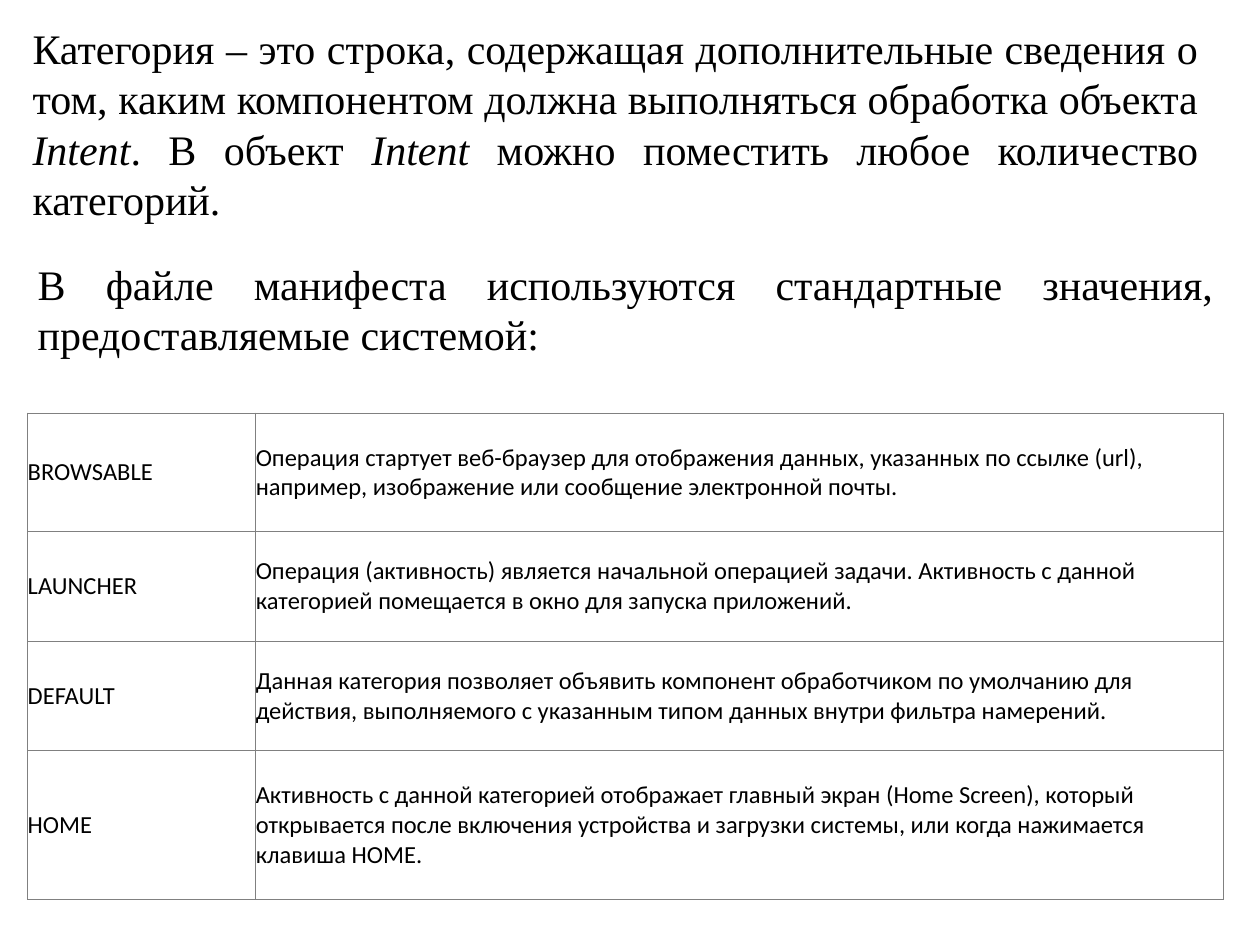
from pptx import Presentation
from pptx import util as u
from pptx.dml import color
from pptx.enum import text
from pptx.oxml import ns, parse_xml

BLACK, GREY = "000000", "808080"


def add_text(para, content, size=24, font="Times New Roman", italic=False, hue=BLACK):
    span = para.add_run()
    span.text = content
    span.font.size = u.Pt(size)
    span.font.name = font
    span.font.italic = italic
    span.font.color.rgb = color.RGBColor.from_string(hue)


def set_borders(cell, hue=GREY, width=0.75):
    props = cell._tc.get_or_add_tcPr()
    for index, side in enumerate(("lnL", "lnR", "lnT", "lnB")):
        props.insert(index, parse_xml(
            f'<a:{side} {ns.nsdecls("a")} w="{u.Pt(width)}">'
            f'<a:solidFill><a:srgbClr val="{hue}"/></a:solidFill></a:{side}>'))


deck = Presentation()
deck.slide_width, deck.slide_height = u.Inches(10), u.Inches(7.5)
page = deck.slides.add_slide(deck.slide_layouts[6])

# Introductory paragraphs: position, then (text, italic) pieces
intros = [
    ((0.16, 0.13, 9.45, 1.72), [
        ("Категория – это строка, содержащая дополнительные сведения о том, "
         "каким компонентом должна выполняться обработка объекта ", False),
        ("Intent", True),
        (". В объект ", False),
        ("Intent", True),
        (" можно поместить любое количество категорий. ", False)]),
    ((0.2, 2, 9.53, 0.91), [
        ("В файле манифеста используются стандартные значения, "
         "предоставляемые системой: ", False)]),
]
for place, pieces in intros:
    box = page.shapes.add_textbox(*map(u.Inches, place))
    box.text_frame.word_wrap = True
    box.text_frame.auto_size = text.MSO_AUTO_SIZE.SHAPE_TO_FIT_TEXT
    para = box.text_frame.paragraphs[0]
    para.alignment = text.PP_ALIGN.JUSTIFY
    for content, italic in pieces:
        add_text(para, content, italic=italic)

# Table of standard categories: row height, name, meaning
categories = [
    (0.94, "BROWSABLE",
     "Операция стартует веб-браузер для отображения данных, указанных по ссылке (url), "
     "например, изображение или сообщение электронной почты."),
    (0.87, "LAUNCHER",
     "Операция (активность) является начальной операцией задачи. Активность с данной "
     "категорией помещается в окно для запуска приложений."),
    (0.87, "DEFAULT",
     "Данная категория позволяет объявить компонент обработчиком по умолчанию для "
     "действия, выполняемого с указанным типом данных внутри фильтра намерений."),
    (1.18, "HOME",
     "Активность с данной категорией отображает главный экран (Home Screen), который "
     "открывается после включения устройства и загрузки системы, или когда нажимается "
     "клавиша HOME."),
]
table = page.shapes.add_table(len(categories), 2, u.Inches(0.22), u.Inches(3.28),
                              u.Inches(9.49), u.Inches(3.86)).table
table.first_row = table.horz_banding = False
for column, width in zip(table.columns, (1.81, 7.68)):
    column.width = u.Inches(width)
for row, (height, *contents) in zip(table.rows, categories):
    row.height = u.Inches(height)
    for cell, content in zip(row.cells, contents):
        cell.fill.background()
        cell.margin_left = cell.margin_right = cell.margin_top = cell.margin_bottom = 0
        cell.vertical_anchor = text.MSO_ANCHOR.MIDDLE
        set_borders(cell)
        add_text(cell.text_frame.paragraphs[0], content, size=14, font="Calibri")

deck.save("out.pptx")
